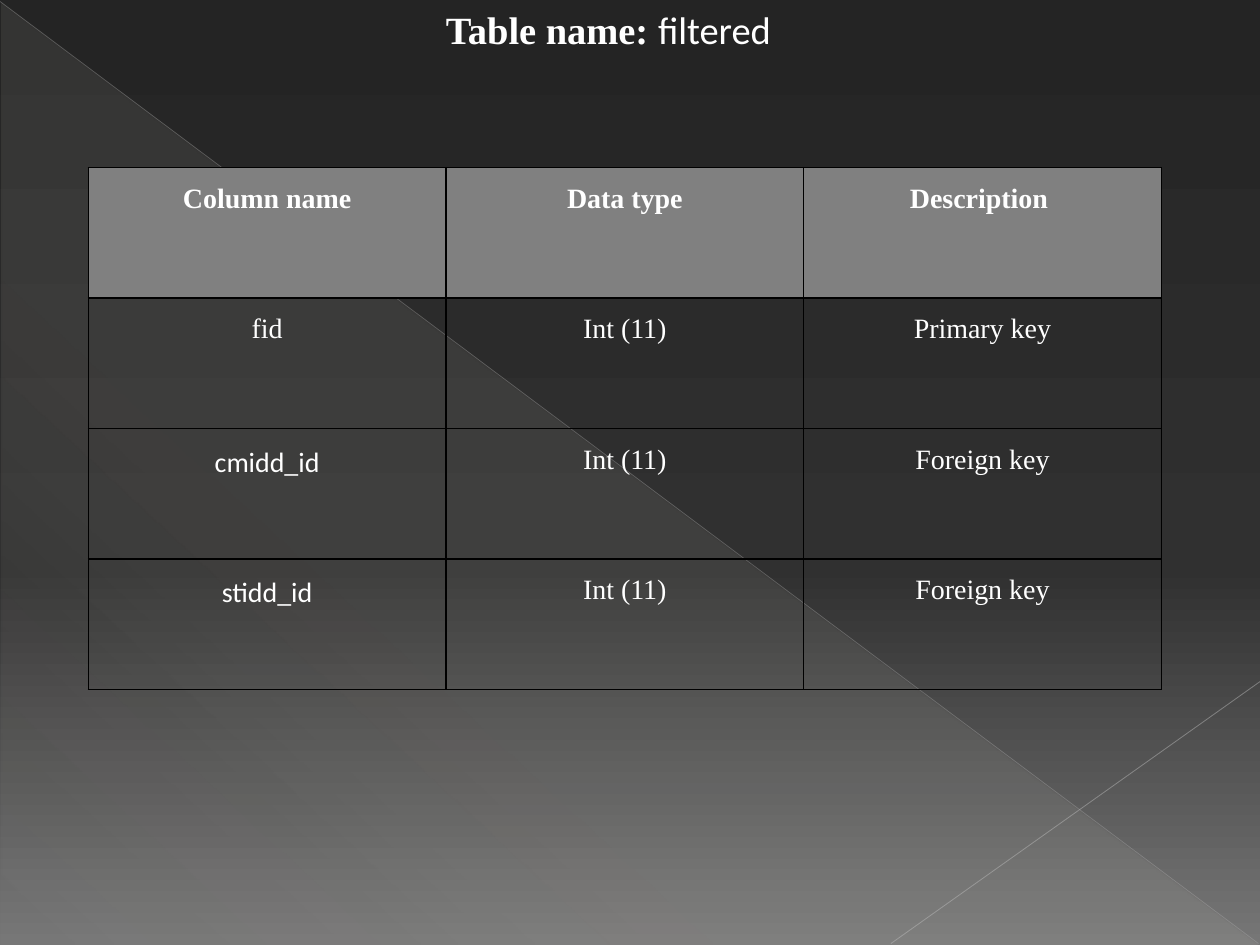
"""Build a slide with the column table of the filtered data."""
from lxml import etree
from pptx import Presentation
from pptx import util as u
from pptx.dml import color as c
from pptx.enum import shapes as s, text as t
from pptx.oxml import ns

Cm = u.Cm
HUES = {"text": "FFFFFF", "head": "808080", "edge": "000000",
        "dark": "242424", "mid": "303030", "light": "767676",
        "sand": "E3DED1", "long": "B6B6B6", "short": "BFBFBF"}


def write(par, words, size=16, font="Times New Roman", bold=False, align="CENTER"):
    par.alignment = getattr(t.PP_ALIGN, align)
    run = par.add_run()
    run.text = words
    run.font.size = u.Pt(size)
    run.font.name = font
    run.font.bold = bold
    run.font.color.rgb = c.RGBColor.from_string(HUES["text"])


def blend(fill, root, stops, angle):
    fill.gradient()
    grad = root.find(".//" + ns.qn("a:gradFill"))
    for kid in list(grad):
        grad.remove(kid)
    row = etree.SubElement(grad, ns.qn("a:gsLst"))
    for pos, hue, alpha in stops:
        stop = etree.SubElement(row, ns.qn("a:gs"), pos=str(pos * 1000))
        tone = etree.SubElement(stop, ns.qn("a:srgbClr"), val=HUES[hue])
        etree.SubElement(tone, ns.qn("a:alpha"), val=str(alpha * 1000))
    etree.SubElement(grad, ns.qn("a:lin"), ang=str(angle * 60000), scaled="0")


deck = Presentation()
deck.slide_width, deck.slide_height = Cm(25.4), Cm(19.05)
slide = deck.slides.add_slide(deck.slide_layouts[6])
blend(slide.background.fill, slide.element,
      [(0, "dark", 100), (60, "mid", 100), (100, "light", 100)], 90)

wedge = slide.shapes.add_shape(
    s.MSO_SHAPE.RIGHT_TRIANGLE, Cm(0.03), Cm(0.05), Cm(25.35), Cm(19))
wedge.shadow.inherit = False
wedge.line.fill.background()
blend(wedge.fill, wedge.element,
      [(0, "sand", 10), (70, "sand", 8), (100, "sand", 1)], 133)

for ends, hue, width, alpha in [((0, 0.03, 25.37, 19.02), "long", 0.39, 35),
                                ((25.4, 13.74, 17.96, 19.02), "short", 0.47, 45)]:
    line = slide.shapes.add_connector(
        s.MSO_CONNECTOR.STRAIGHT, *[Cm(end) for end in ends])
    line.line.width = u.Pt(width)
    line.line.color.rgb = c.RGBColor.from_string(HUES[hue])
    tone = line.element.find(".//" + ns.qn("a:srgbClr"))
    etree.SubElement(tone, ns.qn("a:alpha"), val=str(alpha * 1000))
    etree.SubElement(line.element.spPr, ns.qn("a:effectLst"))

ROWS = [("Column name", "Data type", "Description "),
        ("fid", "Int (11)", "Primary key"),
        ("cmidd_id", "Int (11)", "Foreign key"),
        ("stidd_id", "Int (11)", "Foreign key")]
WIDE, HIGH = 7.21, 2.63
grid = slide.shapes.add_table(
    len(ROWS), 3, Cm(1.78), Cm(3.38), Cm(3 * WIDE), Cm(len(ROWS) * HIGH)).table
grid.first_row = grid.horz_banding = False
for col in grid.columns:
    col.width = Cm(WIDE)
for y, row in enumerate(ROWS):
    grid.rows[y].height = Cm(HIGH)
    for x, words in enumerate(row):
        cell = grid.cell(y, x)
        cell.margin_left = cell.margin_right = 0
        cell.margin_top = cell.margin_bottom = 0
        props = cell._tc.get_or_add_tcPr()
        for side in "LRTB":
            edge = etree.SubElement(props, ns.qn("a:ln" + side), w="12700")
            paint = etree.SubElement(edge, ns.qn("a:solidFill"))
            etree.SubElement(paint, ns.qn("a:srgbClr"), val=HUES["edge"])
        if y == 0:
            cell.fill.solid()
            cell.fill.fore_color.rgb = c.RGBColor.from_string(HUES["head"])
        else:
            cell.fill.background()
        par = cell.text_frame.paragraphs[0]
        par.line_spacing = 1.5
        par.space_after = u.Pt(8)
        font = "Calibri" if words.endswith("_id") else "Times New Roman"
        write(par, words, font=font, bold=y == 0)

title = slide.shapes.add_textbox(Cm(8.74), 0, Cm(7.14), Cm(1.19)).text_frame
title.word_wrap = False
title.auto_size = t.MSO_AUTO_SIZE.SHAPE_TO_FIT_TEXT
title.vertical_anchor = t.MSO_ANCHOR.MIDDLE
par = title.paragraphs[0]
write(par, "Table name: ", size=22, bold=True, align="JUSTIFY")
write(par, "filtered", size=22, font="Calibri", align="JUSTIFY")

deck.save("out.pptx")
